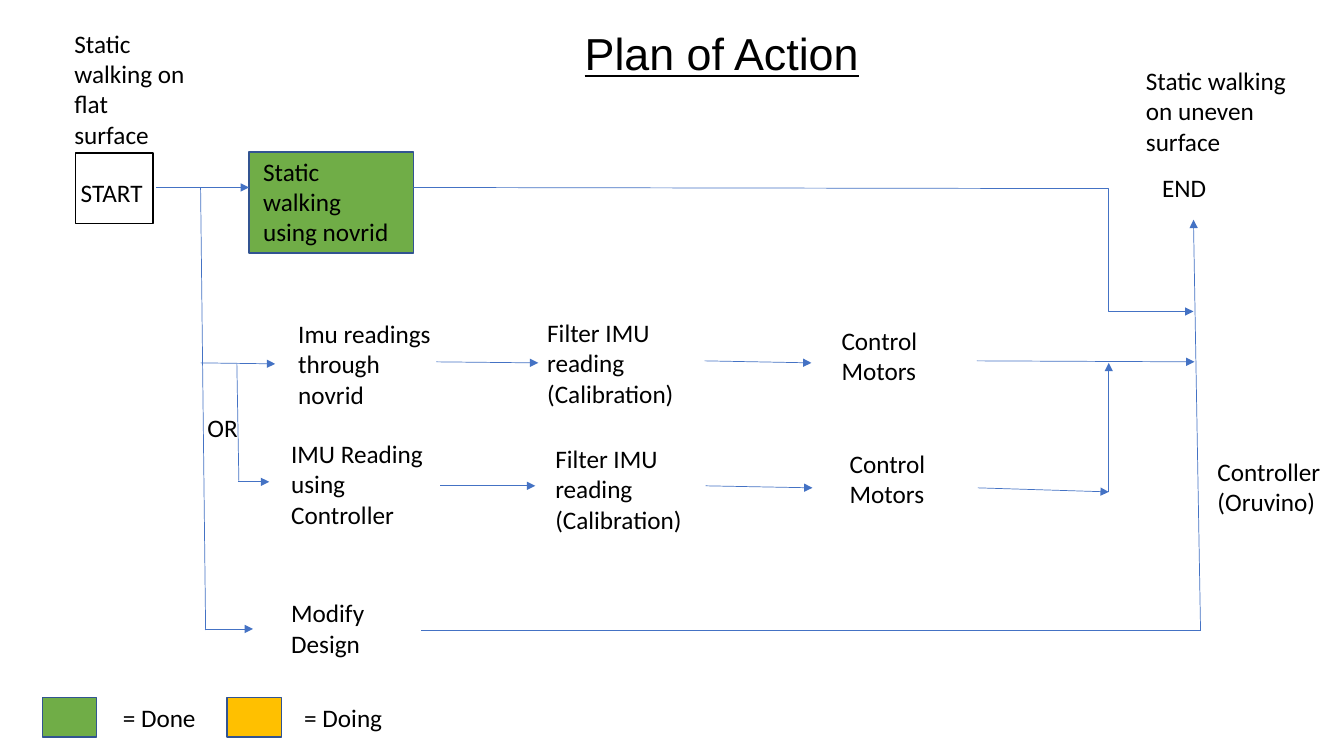
from dataclasses import dataclass

from pptx import Presentation
from pptx.dml.color import RGBColor
from pptx.enum.shapes import MSO_CONNECTOR as Route, MSO_SHAPE as Preset
from pptx.enum.text import MSO_ANCHOR as Anchor, MSO_AUTO_SIZE as Fit, PP_ALIGN as Align
from pptx.oxml.ns import qn
from pptx.util import Inches, Pt
from lxml.etree import SubElement

COLUMNS, ROWS = 133.33, 75


@dataclass(frozen=True)
class Theme:
    ink: RGBColor = RGBColor.from_string("000000")
    flow: RGBColor = RGBColor.from_string("4472C4")
    edge: RGBColor = RGBColor.from_string("325491")
    done: RGBColor = RGBColor.from_string("70AD47")
    doing: RGBColor = RGBColor.from_string("FFC000")
    title_font: str = "Arial"
    body_font: str = "Calibri"
    title_size: int = 32
    body_size: int = 18
    flow_width: float = 0.5
    edge_width: float = 1


class FlowPage:
    def __init__(self, deck, theme):
        self.theme = theme
        self.cell_width = deck.slide_width / COLUMNS
        self.cell_height = deck.slide_height / ROWS
        self.page = deck.slides.add_slide(deck.slide_layouts[5])

    def cells(self, column, row):
        return round(column * self.cell_width), round(row * self.cell_height)

    def fill_text(self, box, text, font, size, underline=None):
        frame = box.text_frame
        frame.text = text
        frame.word_wrap = True
        frame.vertical_anchor = Anchor.TOP
        for para in frame.paragraphs:
            para.alignment = Align.LEFT
            para.font.name = font
            para.font.size = Pt(size)
            para.font.underline = underline
            para.font.color.rgb = self.theme.ink
        return frame

    def title(self, text, column, row, width, height):
        box = self.page.shapes.title
        box.left, box.top = self.cells(column, row)
        box.width, box.height = self.cells(width, height)
        frame = self.fill_text(box, text, self.theme.title_font, self.theme.title_size, True)
        frame.auto_size = Fit.NONE

    def label(self, text, column, row, width, lines=1):
        height = 3 * lines + 1
        box = self.page.shapes.add_textbox(*self.cells(column, row), *self.cells(width, height))
        frame = self.fill_text(box, text, self.theme.body_font, self.theme.body_size)
        frame.auto_size = Fit.SHAPE_TO_FIT_TEXT

    def block(self, column, row, width, height, fill=None, text="", insets=(0, 0, 0)):
        box = self.page.shapes.add_shape(
            Preset.RECTANGLE, *self.cells(column, row), *self.cells(width, height))
        box.shadow.inherit = False
        box.line.width = Pt(self.theme.edge_width)
        if fill is None:
            box.fill.background()
            box.line.color.rgb = self.theme.ink
        else:
            box.fill.solid()
            box.fill.fore_color.rgb = fill
            box.line.color.rgb = self.theme.edge
        if text:
            frame = self.fill_text(box, text, self.theme.body_font, self.theme.body_size)
            left, top, right = insets
            frame.margin_left, frame.margin_top = self.cells(left, top)
            frame.margin_right = self.cells(right, 0)[0]

    def line(self, start, end, arrow=True, route=Route.STRAIGHT):
        link = self.page.shapes.add_connector(route, *self.cells(*start), *self.cells(*end))
        link.line.color.rgb = self.theme.flow
        link.line.width = Pt(self.theme.flow_width)
        properties = link._element.spPr
        if arrow:
            SubElement(properties.find(qn("a:ln")), qn("a:tailEnd"), type="triangle")
        SubElement(properties, qn("a:effectLst"))


def main():
    deck = Presentation()
    deck.slide_width, deck.slide_height = Inches(13.33), Inches(7.5)
    theme = Theme()
    flow = FlowPage(deck, theme)

    flow.title("Plan of Action", 57, 2.1, 41.9, 6.4)

    flow.block(7.5, 15.2, 7.7, 7, text="START", insets=(0.5, 2.4, 0))
    flow.block(24.7, 15.1, 16.3, 10, theme.done,
               "Static walking using novrid", insets=(1.4, 0.4, 1.6))

    for column, fill, meaning, gap in (
        (4.2, theme.done, "= Done", 7),
        (22.5, theme.doing, "= Doing", 6.7),
    ):
        flow.block(column, 69.2, 5.4, 3.9, fill)
        flow.label(meaning, column + gap, 69.2, 12.2)

    for text, column, row, width, lines in (
        ("Static walking on flat surface", 6.4, 2.3, 13.2, 4),
        ("Static walking on uneven surface", 112.7, 6, 17.8, 3),
        ("END", 114.3, 16.6, 16.3, 1),
        ("Imu readings through novrid", 28.6, 31.1, 15.3, 3),
        ("IMU Reading using Controller", 27.9, 43, 16.6, 3),
        ("OR", 19.6, 40.4, 5.1, 1),
        ("Modify Design", 27.9, 58.8, 16.4, 2),
        ("Controller\n(Oruvino)", 119.8, 44.8, 15.5, 2),
    ):
        flow.label(text, column, row, width, lines)

    for shift, filter_row, motor_row in ((0, 31, 31.8), (0.8, 43.5, 44)):
        flow.label("Filter IMU reading (Calibration)", 53.3 + shift, filter_row, 16.4, 3)
        flow.label("Control Motors", 82.5 + shift, motor_row, 16.4, 2)

    for start, end in (
        ((15.5, 18.6), (24.7, 18.6)),
        ((19.9, 36), (27.3, 36.1)),
        ((20.3, 62.4), (25.1, 62.4)),
        ((23.6, 47.8), (26.7, 47.8)),
        ((43.3, 35.9), (53.4, 36)),
        ((69.9, 35.8), (80.5, 36)),
        ((96.9, 35.8), (118.5, 35.9)),
        ((43.7, 48.2), (53.1, 48.2)),
        ((70, 48.2), (80.6, 48.4)),
        ((97, 48.4), (110, 48.8)),
        ((110, 48.8), (110, 36)),
        ((119.1, 62.5), (118.4, 21.8)),
    ):
        flow.line(start, end)

    for start, end in (
        ((19.9, 18.6), (20.4, 62.5)),
        ((23.5, 36.1), (23.7, 47.8)),
        ((41, 18.6), (101.6, 18.7)),
        ((41.8, 62.5), (119.1, 62.5)),
    ):
        flow.line(start, end, arrow=False)

    flow.line((101.6, 18.7), (118.4, 30.9), route=Route.ELBOW)

    deck.save("out.pptx")


if __name__ == "__main__":
    main()
